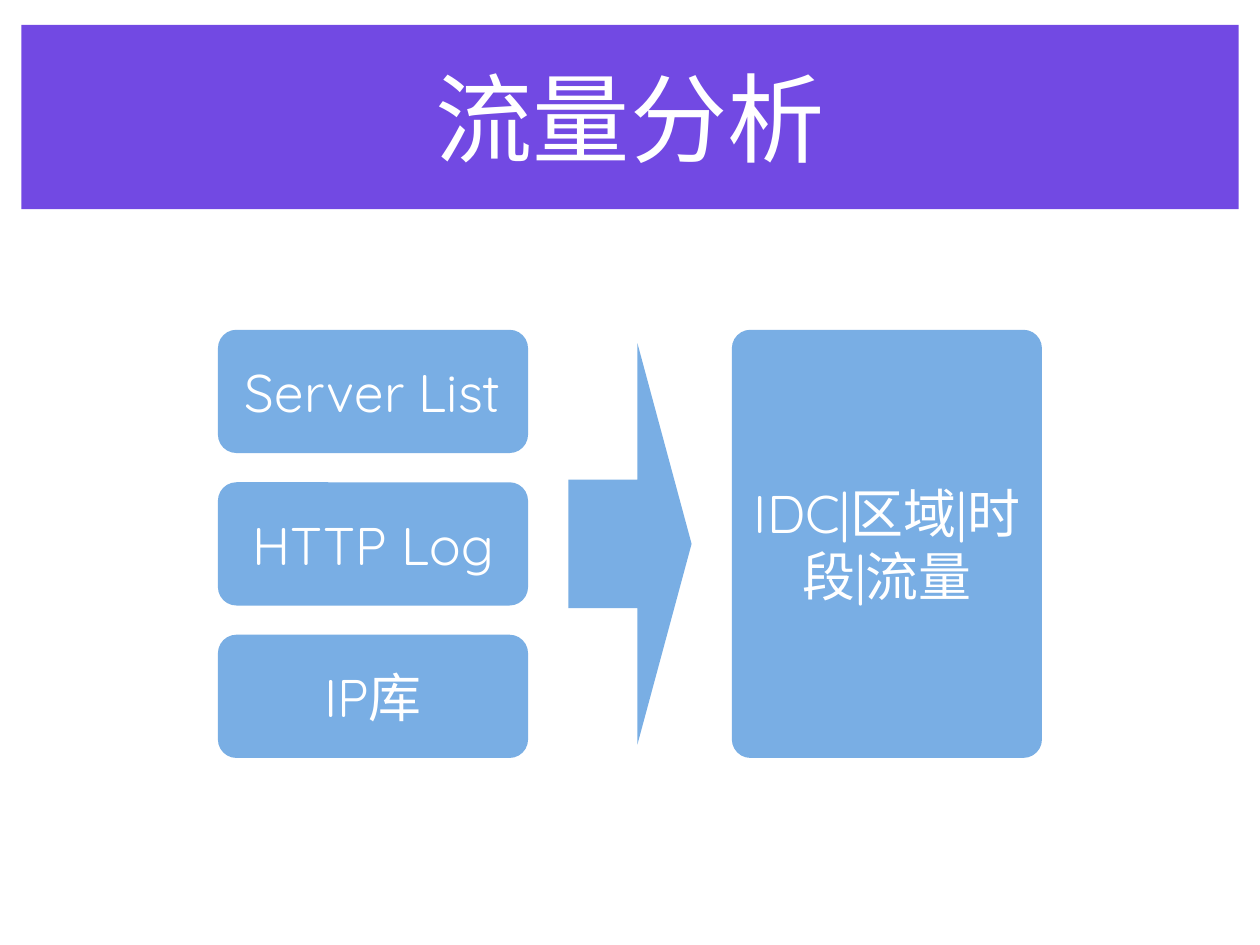
from dataclasses import dataclass

from lxml import etree
from pptx import Presentation
from pptx.dml.color import RGBColor
from pptx.enum.shapes import MSO_SHAPE
from pptx.enum.text import MSO_ANCHOR, MSO_AUTO_SIZE, PP_ALIGN
from pptx.oxml.ns import qn
from pptx.util import Inches, Pt

ROUNDED = MSO_SHAPE.ROUNDED_RECTANGLE
RIGHT_ARROW = MSO_SHAPE.RIGHT_ARROW
MIDDLE = MSO_ANCHOR.MIDDLE
CENTER = PP_ALIGN.CENTER
NO_AUTOFIT = MSO_AUTO_SIZE.NONE
TITLE_ONLY = 5


@dataclass(frozen=True)
class Theme:
    """Colours, type and opacity of the slide."""
    banner: RGBColor = RGBColor(0x72, 0x49, 0xE3)
    block: RGBColor = RGBColor(0x41, 0x8D, 0xD9)
    text: RGBColor = RGBColor(0xFF, 0xFF, 0xFF)
    font: str = "Quicksand"
    title_size: int = 79
    label_size: int = 43
    opacity: int = 70


THEME = Theme()


def write_label(shape, label, size, inset):
    """Write one centred line of white text in a shape."""
    frame = shape.text_frame
    frame.auto_size = NO_AUTOFIT
    frame.word_wrap = True
    frame.vertical_anchor = MIDDLE
    frame.margin_left = frame.margin_right = Inches(inset)
    frame.margin_top = frame.margin_bottom = Inches(0)
    paragraph = frame.paragraphs[0]
    paragraph.alignment = CENTER
    run = paragraph.add_run()
    run.text = label
    run.font.name = THEME.font
    run.font.size = Pt(size)
    run.font.color.rgb = THEME.text


def add_block(slide, kind, box, adjustments):
    """Add a translucent block without outline or shadow."""
    block = slide.shapes.add_shape(kind, *map(Inches, box))
    for index, value in enumerate(adjustments):
        block.adjustments[index] = value
    block.shadow.inherit = False
    block.line.fill.background()
    block.fill.solid()
    block.fill.fore_color.rgb = THEME.block
    color = block.fill._xPr.find(qn("a:solidFill"))[0]
    etree.SubElement(color, qn("a:alpha"), val=str(THEME.opacity * 1000))
    return block


def add_banner(slide, title, box):
    """Place the title as a filled banner."""
    banner = slide.shapes.title
    banner.left, banner.top, banner.width, banner.height = map(Inches, box)
    banner.fill.solid()
    banner.fill.fore_color.rgb = THEME.banner
    write_label(banner, title, THEME.title_size, 0.06)


def add_inputs(slide, inputs, box):
    """Stack the input blocks evenly in the box."""
    left, top, width, height = box
    block_height = 1.39
    pitch = (height - block_height) / (len(inputs) - 1)
    for row, label in enumerate(inputs):
        place = (left, top + row * pitch, width, block_height)
        block = add_block(slide, ROUNDED, place, [0.15])
        write_label(block, label, THEME.label_size, 0)


def add_flow(slide, inputs, output, box):
    """Lay out the inputs, the arrow and the output in the box."""
    left, top, width, height = box
    column = 3.5
    arrow_width, arrow_height = 1.39, 4.53
    arrow_left = left + (width - arrow_width) / 2
    arrow_top = top + (height - arrow_height) / 2
    add_inputs(slide, inputs, (left, top, column, height))
    result_box = (left + width - column, top, column, height)
    result = add_block(slide, ROUNDED, result_box, [0.06])
    write_label(result, output, THEME.label_size, 0.15)
    add_block(slide, RIGHT_ARROW,
              (arrow_left, arrow_top, arrow_width, arrow_height), [0.32, 0.44])


def main():
    """Build and save the traffic analysis slide."""
    deck = Presentation()
    deck.slide_width, deck.slide_height = Inches(14.22), Inches(10.66)
    slide = deck.slides.add_slide(deck.slide_layouts[TITLE_ONLY])
    add_banner(slide, "流量分析", (0.24, 0.28, 13.74, 2.08))
    add_flow(slide, ["Server List", "HTTP Log", "IP库"], "IDC|区域|时段|流量",
             (2.46, 3.72, 9.3, 4.83))
    deck.save("out.pptx")


if __name__ == "__main__":
    main()
